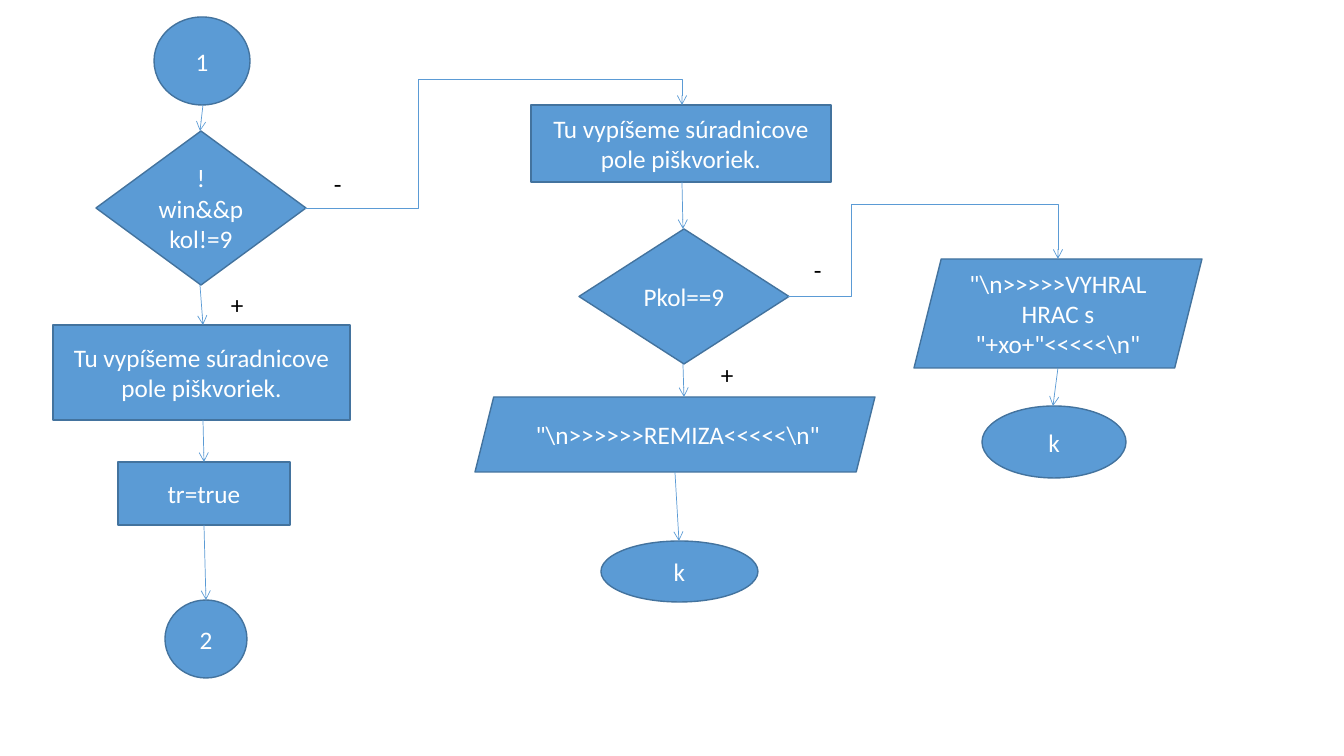
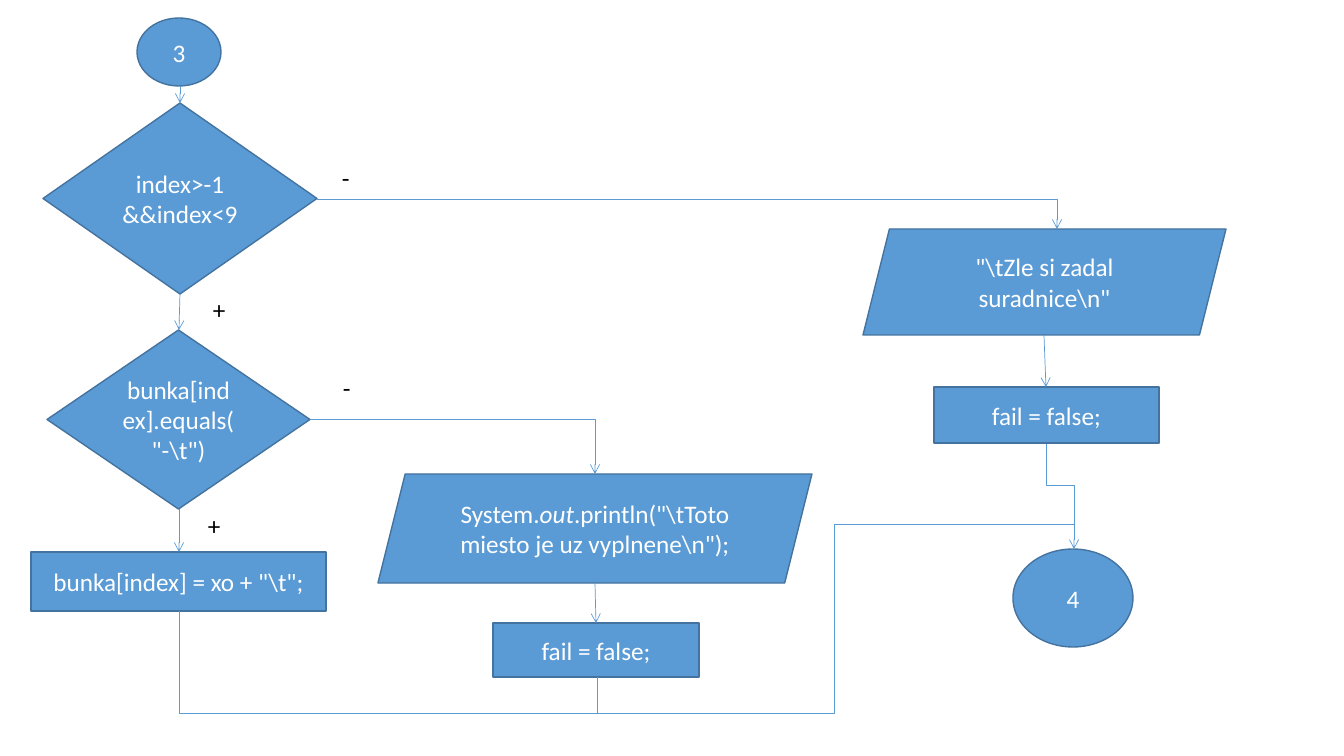
from lxml import etree
from pptx import Presentation
from pptx.dml.color import RGBColor
from pptx.enum.shapes import MSO_CONNECTOR, MSO_SHAPE
from pptx.enum.text import MSO_ANCHOR, MSO_AUTO_SIZE, PP_ALIGN
from pptx.oxml.ns import qn
from pptx.util import Pt

PIXEL = 914400 / 100.8
FILL, OUTLINE, WHITE, BLACK = "5B9BD5", "43739E", "FFFFFF", "000000"
FONT, TEXT_SIZE = "Calibri", Pt(18)
SIGN_HEIGHT = 40
SIGN_WIDTHS = {"+": 33, "-": 28}
DECISION = MSO_SHAPE.FLOWCHART_DECISION
TERMINAL = MSO_SHAPE.OVAL
PROCESS = MSO_SHAPE.RECTANGLE
OUTPUT = MSO_SHAPE.PARALLELOGRAM


def emu(*pixels):
    """Turn picture pixels into a list of EMU lengths."""
    return [round(pixel * PIXEL) for pixel in pixels]


def write(shape, text, color):
    """Write one paragraph; a part between asterisks is italic."""
    paragraph = shape.text_frame.paragraphs[0]
    for index, part in enumerate(text.split("*")):
        run = paragraph.add_run()
        run.text = part
        run.font.name, run.font.size = FONT, TEXT_SIZE
        run.font.color.rgb = RGBColor.from_string(color)
        if index % 2:
            run.font.italic = True
    return paragraph


# Nodes: kind, text, (left, top, width, height)
# Signs: text, left, top
# Arrows and plain lines: the points they run through
board_end = {
    "nodes": [
        (TERMINAL, "1", (154, 17, 96, 88)),
        (DECISION, "!win&&pkol!=9", (96, 131, 210, 154)),
        (PROCESS, "Tu vypíšeme súradnicove pole piškvoriek.", (53, 325, 297, 95)),
        (PROCESS, "tr=true", (118, 462, 172, 63)),
        (TERMINAL, "2", (165, 600, 82, 78)),
        (PROCESS, "Tu vypíšeme súradnicove pole piškvoriek.", (531, 105, 300, 77)),
        (DECISION, "Pkol==9", (579, 229, 210, 135)),
        (OUTPUT, r' "\n>>>>>>REMIZA<<<<<\n"', (475, 397, 400, 75)),
        (TERMINAL, "k", (601, 541, 157, 61)),
        (OUTPUT, r'"\n>>>>>VYHRAL HRAC s "+xo+"<<<<<\n"', (914, 259, 288, 109)),
        (TERMINAL, "k", (982, 406, 144, 72)),
    ],
    "signs": [("+", 221, 284), ("-", 324, 163), ("+", 711, 354), ("-", 804, 249)],
    "arrows": [
        [(203, 105), (200, 131)],
        [(200, 285), (203, 325)],
        [(203, 420), (204, 462)],
        [(204, 525), (206, 600)],
        [(305, 208), (418, 208), (418, 79), (682, 79), (682, 105)],
        [(682, 182), (683, 229)],
        [(683, 364), (684, 397)],
        [(675, 472), (679, 541)],
        [(788, 296), (851, 296), (851, 204), (1058, 204), (1058, 259)],
        [(1058, 368), (1053, 406)],
    ],
    "lines": [],
}
index_check = {
    "nodes": [
        (TERMINAL, "3", (137, 18, 84, 68)),
        (DECISION, "index>-1 &&index<9", (43, 103, 274, 191)),
        (DECISION, r'bunka[index].equals("-\t")', (47, 330, 263, 179)),
        (PROCESS, r'bunka[index] = xo + "\t";', (31, 552, 295, 59)),
        (OUTPUT, r'System.*out*.println("\tToto miesto je uz vyplnene\n");',
         (378, 474, 434, 109)),
        (PROCESS, "fail = false;", (493, 623, 206, 54)),
        (OUTPUT, r'"\tZle si zadal suradnice\n"', (863, 229, 363, 106)),
        (PROCESS, "fail = false;", (934, 387, 225, 56)),
        (TERMINAL, "4", (1013, 549, 120, 98)),
    ],
    "signs": [("+", 203, 289), ("+", 198, 505), ("-", 333, 367), ("-", 332, 157)],
    "arrows": [
        [(180, 86), (180, 103)],
        [(180, 294), (179, 330)],
        [(179, 509), (179, 552)],
        [(310, 419), (595, 419), (595, 474)],
        [(595, 583), (596, 623)],
        [(317, 199), (1057, 199), (1057, 229)],
        [(1044, 335), (1046, 387)],
        [(179, 611), (179, 713), (834, 713), (834, 524), (1074, 524), (1074, 549)],
    ],
    "lines": [
        [(597, 677), (597, 714)],
        [(1046, 444), (1046, 485), (1074, 485), (1074, 525)],
    ],
}

presentation = Presentation()
presentation.slide_width, presentation.slide_height = emu(1344, 756)

for chart in (board_end, index_check):
    slide = presentation.slides.add_slide(presentation.slide_layouts[6])

    for kind, text, box in chart["nodes"]:
        node = slide.shapes.add_shape(kind, *emu(*box))
        node.shadow.inherit = False
        node.fill.solid()
        node.fill.fore_color.rgb = RGBColor.from_string(FILL)
        node.line.color.rgb = RGBColor.from_string(OUTLINE)
        node.line.width = Pt(1)
        node.text_frame.word_wrap = True
        node.text_frame.vertical_anchor = MSO_ANCHOR.MIDDLE
        write(node, text, WHITE).alignment = PP_ALIGN.CENTER

    for text, left, top in chart["signs"]:
        sign = slide.shapes.add_textbox(
            *emu(left, top, SIGN_WIDTHS[text], SIGN_HEIGHT))
        sign.text_frame.word_wrap = False
        sign.text_frame.auto_size = MSO_AUTO_SIZE.SHAPE_TO_FIT_TEXT
        write(sign, text, BLACK)

    for points in chart["arrows"] + chart["lines"]:
        if len(points) == 2:
            route = slide.shapes.add_connector(
                MSO_CONNECTOR.STRAIGHT, *emu(*points[0], *points[1]))
        else:
            builder = slide.shapes.build_freeform(*points[0], scale=PIXEL)
            builder.add_line_segments(points[1:], close=False)
            route = builder.convert_to_shape()
            route.fill.background()
        route.line.color.rgb = RGBColor.from_string(FILL)
        route.line.width = Pt(0.5)
        properties = route.element.spPr
        etree.SubElement(properties, qn("a:effectLst"))
        if points in chart["arrows"]:
            etree.SubElement(properties.find(qn("a:ln")), qn("a:tailEnd"), type="arrow")

presentation.save("out.pptx")
